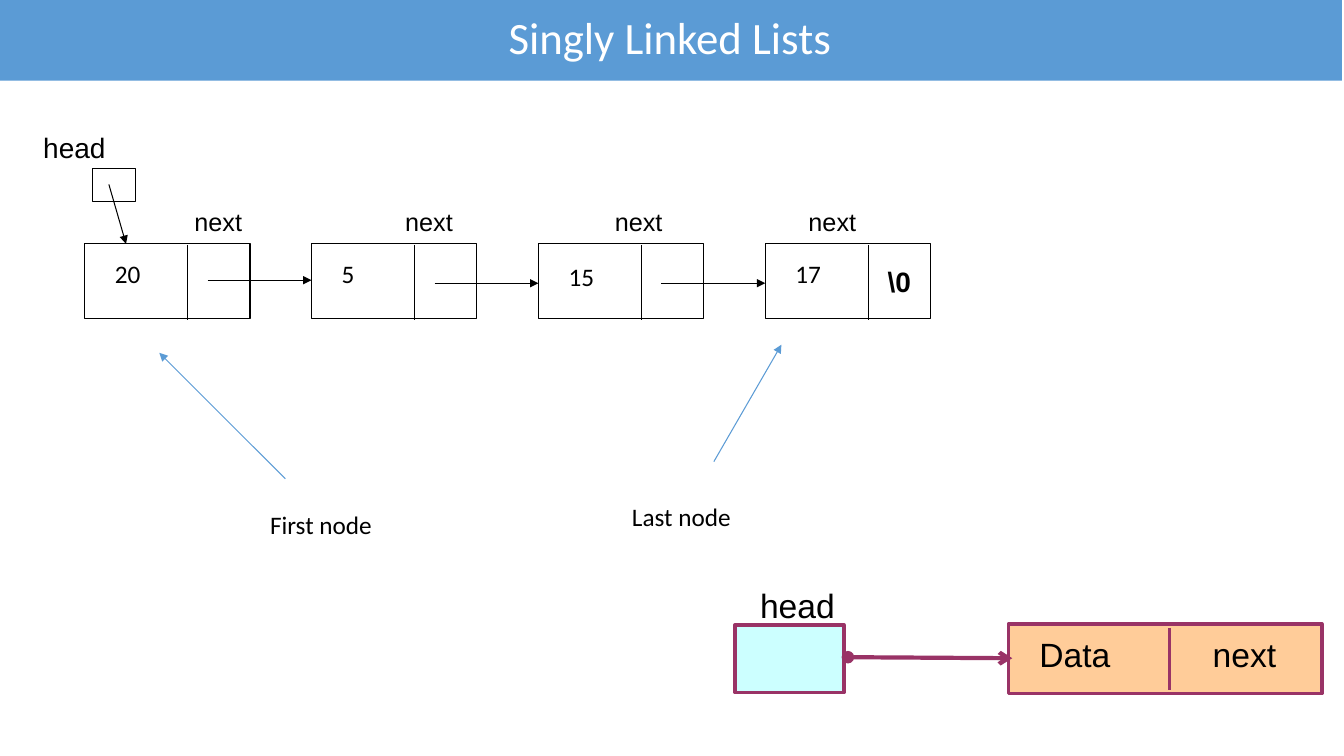
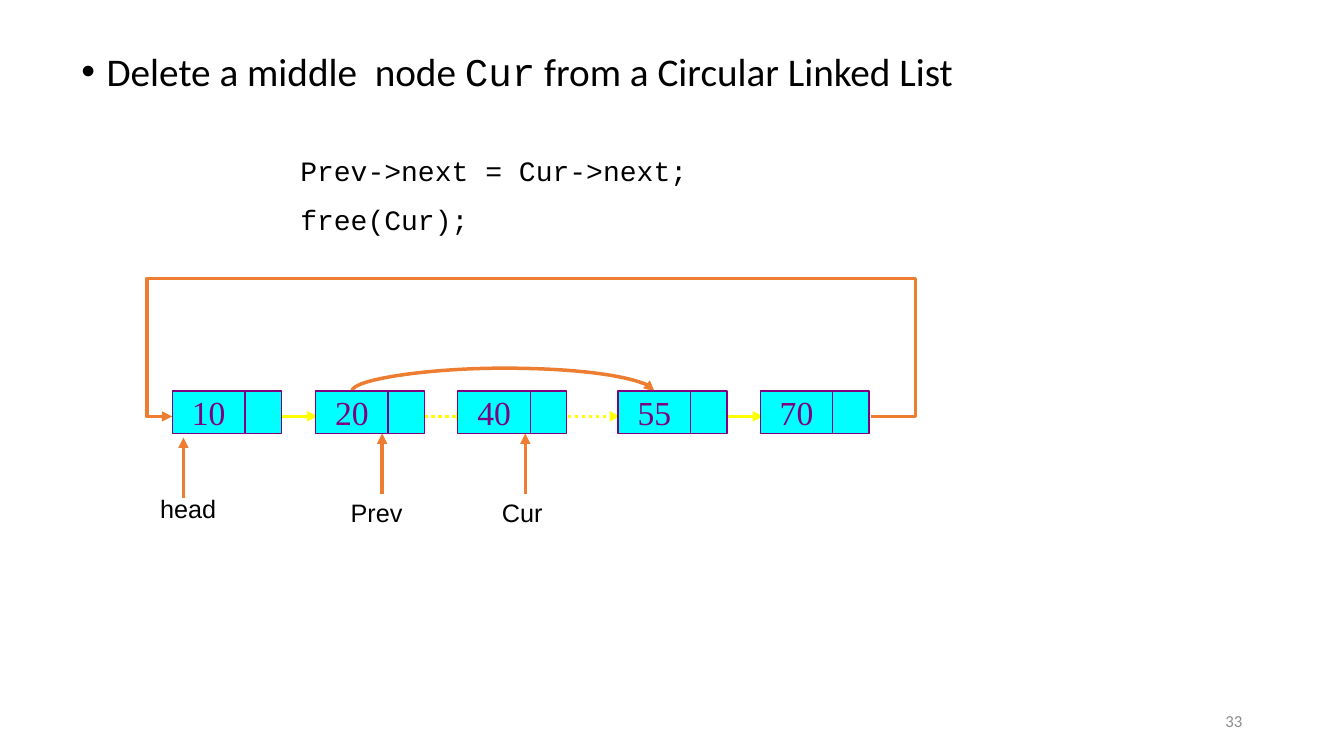
import pptx
import pptx.util
import pptx.dml.color
import pptx.enum.dml
import pptx.enum.shapes
import pptx.enum.text
import pptx.oxml
import pptx.oxml.ns

Inches = pptx.util.Inches
Pt = pptx.util.Pt
ALIGN = pptx.enum.text.PP_ALIGN
ANCHOR = pptx.enum.text.MSO_ANCHOR
CONNECTOR = pptx.enum.shapes.MSO_CONNECTOR
RECTANGLE = pptx.enum.shapes.MSO_SHAPE.RECTANGLE

WHITE, BLACK, GRAY = "FFFFFF", "000000", "8C8C8C"
BLUE, ORANGE, YELLOW = "5B9BD5", "ED7D31", "FFFF00"
CYAN, PURPLE = "00FFFF", "800080"
PEACH, ICE, PLUM = "FFCC99", "CCFFFF", "993366"
SANS, BODY, CODE, SERIF = "Arial", "Calibri", "Courier New", "Times New Roman"
SLIVER = pptx.util.Emu(1588)

TITLE = "Singly Linked Lists"
SINGLE_NODES = [("20", 2.51, 1.83), ("5", 2.51, 3.92), ("15", 2.54, 6), ("17", 2.51, 7.92)]
SINGLE_LINK_HEIGHTS = [2.78, 2.81, 2.81]
SINGLE_LEFT, SINGLE_STEP, SINGLE_TOP = 0.84, 2.25, 2.42
SINGLE_CALLOUTS = [
    ("First node", (2.58, 5, 1.92, 0.5), (2.83, 4.75, 1.58, 3.5)),
    ("Last node", (6.17, 4.92, 2.17, 0.5), (7.08, 4.58, 7.75, 3.42)),
]
LEGEND_BOXES = [((10, 6.19, 3.11, 0.69), PEACH), ((7.29, 6.2, 1.08, 0.67), ICE)]
LEGEND_LABELS = [("head", 7.44, 5.75), ("Data", 10.21, 6.24), ("next", 11.93, 6.24)]

HEADING = [("Delete a middle  node ", BODY), ("Cur", CODE), (" from a Circular Linked List", BODY)]
CODE_LINES = ["Prev->next = Cur->next;", "free(Cur);"]
CIRCULAR_NODES = [("10", 1.71), ("20", 3.13), ("40", 4.54), ("55", 6.13), ("70", 7.54)]
CIRCULAR_LINKS = [(2.71, 3.15, False), (4.21, 4.63, True), (5.63, 6.15, True), (7.13, 7.57, False)]
CIRCULAR_POINTERS = [("head", 1.49, 4.84, 1.82, 4.94), ("Prev", 3.38, 4.88, 3.79, 4.9),
                     ("Cur", 4.88, 4.88, 5.21, 4.9)]
CIRCULAR_TOP, CIRCULAR_MIDDLE, CELL_HEIGHT = 3.88, 4.13, 0.42
PAGE_NUMBER = "33"


def color(value):
    return pptx.dml.color.RGBColor.from_string(value)


def add_run(paragraph, text, size, font, ink=BLACK, bold=False):
    run = paragraph.add_run()
    run.text = text
    run.font.size = Pt(size)
    run.font.name = font
    run.font.bold = bold
    run.font.color.rgb = color(ink)


def add_frame(slide, at):
    frame = slide.shapes.add_textbox(*map(Inches, at)).text_frame
    frame.word_wrap = True
    return frame


def add_label(slide, at, text, size, font, ink=BLACK, align=ALIGN.LEFT, bold=False):
    frame = add_frame(slide, at)
    paragraph = frame.paragraphs[0]
    paragraph.alignment = align
    add_run(paragraph, text, size, font, ink, bold)
    return frame


def add_box(slide, at, fill=None, line=None, width=0.75):
    shape = slide.shapes.add_shape(RECTANGLE, *map(Inches, at))
    shape.shadow.inherit = False
    if fill:
        shape.fill.solid()
        shape.fill.fore_color.rgb = color(fill)
    else:
        shape.fill.background()
    if line:
        shape.line.color.rgb = color(line)
        shape.line.width = Pt(width)
    else:
        shape.line.fill.background()
    return shape


def fill_text(shape, text, size, font, ink):
    frame = shape.text_frame
    frame.word_wrap = False
    frame.vertical_anchor = ANCHOR.MIDDLE
    paragraph = frame.paragraphs[0]
    paragraph.alignment = ALIGN.CENTER
    add_run(paragraph, text, size, font, ink)


def make_element(tag, **attributes):
    element = pptx.oxml.parse_xml(f"<{tag} {pptx.oxml.ns.nsdecls('a')}/>")
    for name, value in attributes.items():
        element.set(name, value)
    return element


def add_line(slide, points, ink, width, tail=None, head=None, dotted=False, kind=CONNECTOR.STRAIGHT):
    connector = slide.shapes.add_connector(kind, *map(Inches, points))
    connector.line.color.rgb = color(ink)
    connector.line.width = Pt(width)
    if dotted:
        connector.line.dash_style = pptx.enum.dml.MSO_LINE.ROUND_DOT
    outline = connector.line._get_or_add_ln()
    for tag, end in (("a:headEnd", head), ("a:tailEnd", tail)):
        if end:
            outline.append(make_element(tag, type=end))
    connector._element.spPr.append(make_element("a:effectLst"))
    return connector


def add_route(slide, points, kind, preset, adjustments, turn=0):
    connector = add_line(slide, points, ORANGE, 2.5, "triangle", kind=kind)
    properties = connector._element.spPr
    properties.find(pptx.oxml.ns.qn("a:xfrm")).set("rot", str(turn * 60000))
    geometry = properties.find(pptx.oxml.ns.qn("a:prstGeom"))
    geometry.set("prst", preset)
    guides = geometry.find(pptx.oxml.ns.qn("a:avLst"))
    for number, value in enumerate(adjustments, 1):
        name = f"adj{number}"
        guides.append(make_element("a:gd", name=name, fmla=f"val {round(value * 100000)}"))


def build_single(slide):
    fill_text(add_box(slide, (-0.02, -0.08, 13.33, 0.88), BLUE), TITLE, 32, BODY, WHITE)
    for text, at, arrow in SINGLE_CALLOUTS:
        add_line(slide, arrow, BLUE, 0.75, "triangle")
        add_label(slide, at, text, 18, BODY)
    for index, (value, value_top, next_left) in enumerate(SINGLE_NODES):
        left = SINGLE_LEFT + index * SINGLE_STEP
        divider = left + 1.02
        add_box(slide, (left, SINGLE_TOP, 1.64, 0.74), WHITE, BLACK)
        add_line(slide, (divider, 2.43, divider, 3.17), BLACK, 0.75)
        add_label(slide, (left + 0.2, value_top, 0.82, 0.55), value, 18, BODY)
        add_label(slide, (next_left, 2, 0.92, 0.4), "next", 18, SANS)
    for index, height in enumerate(SINGLE_LINK_HEIGHTS):
        left = SINGLE_LEFT + index * SINGLE_STEP
        add_line(slide, (left + 1.22, height, left + SINGLE_STEP, height), BLACK, 0.75, "triangle")
    add_label(slide, (8.52, 2.57, 0.8, 0.44), "\\0", 20, SANS, align=ALIGN.CENTER, bold=True)

    add_label(slide, (0.33, 1.25, 2.75, 0.43), "head", 20, SANS)
    add_box(slide, (0.92, 1.67, 0.42, 0.33), line=BLACK)
    add_line(slide, (1.08, 1.83, 1.25, SINGLE_TOP), BLACK, 0.75, "triangle")

    for at, fill in LEGEND_BOXES:
        add_box(slide, at, fill, PLUM, 2.5)
    add_line(slide, (11.6, 6.23, 11.6, 6.85), PLUM, 2.5)
    add_line(slide, (8.41, 6.52, 10.04, 6.53), PLUM, 3, "arrow", "oval")
    for text, left, top in LEGEND_LABELS:
        add_label(slide, (left, top, 1.17, 0.5), text, 24, SANS)


def build_circular(slide):
    number = add_label(slide, (9.42, 6.95, 3, 0.4), PAGE_NUMBER, 12, BODY, GRAY, ALIGN.RIGHT)
    number.vertical_anchor = ANCHOR.MIDDLE

    heading = add_frame(slide, (0.71, 0.47, 11.39, 0.7)).paragraphs[0]
    properties = heading._p.get_or_add_pPr()
    properties.set("marL", str(Inches(0.25)))
    properties.set("indent", str(Inches(-0.25)))
    properties.append(make_element("a:buFont", typeface=SANS))
    properties.append(make_element("a:buChar", char="•"))
    heading.line_spacing = 0.9
    for text, font in HEADING:
        add_run(heading, text, 28, font)

    code = add_frame(slide, (2.88, 1.47, 5, 0.93))
    for index, text in enumerate(CODE_LINES):
        paragraph = code.add_paragraph() if index else code.paragraphs[0]
        if index:
            paragraph.space_before = Pt(11.5)
        add_run(paragraph, text, 20, CODE)

    for start, end, dotted in CIRCULAR_LINKS:
        points = (start, CIRCULAR_MIDDLE, end, CIRCULAR_MIDDLE)
        add_line(slide, points, YELLOW, 2.5, "triangle", dotted=dotted)
    for text, left, top, arrow_left, arrow_top in CIRCULAR_POINTERS:
        add_label(slide, (left, top, 1.25, 0.4), text, 18, SANS)
        add_line(slide, (arrow_left, arrow_top, arrow_left, arrow_top - 0.6), ORANGE, 2.5, "triangle")

    sliver = SLIVER.inches
    add_route(slide, (8.64, CIRCULAR_MIDDLE, 1.71, CIRCULAR_MIDDLE + sliver),
              CONNECTOR.ELBOW, "bentConnector5", (-0.064, -1.51 / sliver, 1.036))
    add_route(slide, (4.99, CIRCULAR_TOP + 1.5, 4.99 + sliver, CIRCULAR_TOP - 1.5),
              CONNECTOR.CURVE, "curvedConnector3", (-0.25 / sliver,), turn=90)

    for value, left in CIRCULAR_NODES:
        cell = add_box(slide, (left, CIRCULAR_TOP, 0.72, CELL_HEIGHT), CYAN, PURPLE, 1)
        fill_text(cell, value, 24, SERIF, PURPLE)
        add_box(slide, (left + 0.72, CIRCULAR_TOP, 0.36, CELL_HEIGHT), CYAN, PURPLE, 1)


def main():
    presentation = pptx.Presentation()
    presentation.slide_width = Inches(13.33)
    presentation.slide_height = Inches(7.5)
    for build in (build_single, build_circular):
        build(presentation.slides.add_slide(presentation.slide_layouts[6]))
    presentation.save("out.pptx")


if __name__ == "__main__":
    main()
